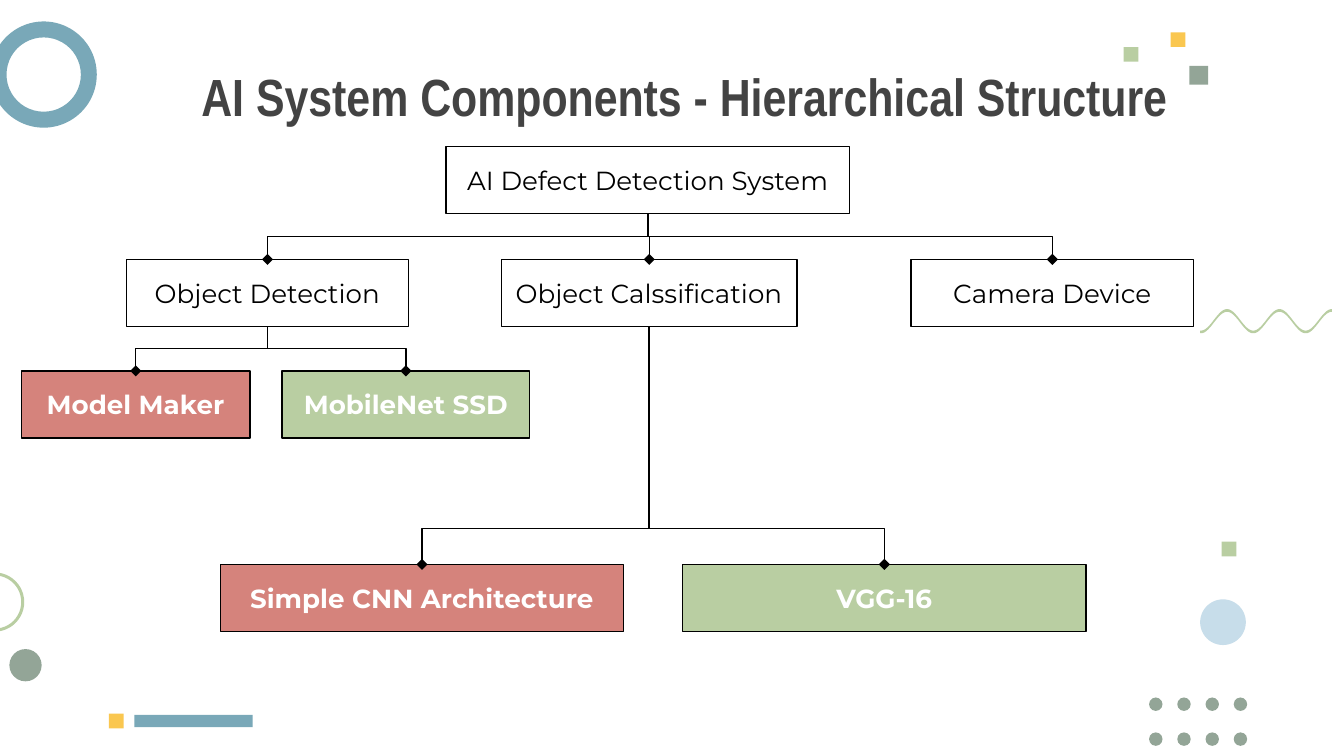
from dataclasses import dataclass
from math import cos, pi
from typing import Optional

from pptx import Presentation
from pptx.dml.color import RGBColor
from pptx.enum.shapes import MSO_CONNECTOR, MSO_SHAPE
from pptx.enum.text import MSO_ANCHOR, MSO_AUTO_SIZE, PP_ALIGN
from pptx.oxml.ns import qn
from pptx.util import Emu, Pt
from lxml.etree import SubElement

EMU_PER_PX = 9144
SLIDE_WIDTH = 1000
BLACK, WHITE, CHARCOAL = "000000", "FFFFFF", "434343"
TEAL, SAGE, GREEN = "79A8B8", "93A597", "B9CEA2"
YELLOW, SKY, RED = "FAC750", "C7DDEA", "D5837C"


@dataclass(frozen=True)
class Component:
    label: str
    left: int
    top: int
    width: int
    fill: Optional[str] = None
    height: int = 50

    @property
    def center(self) -> int:
        return self.left + self.width // 2

    @property
    def bottom(self) -> int:
        return self.top + self.height


@dataclass(frozen=True)
class Branch:
    parent: Component
    children: tuple[Component, ...]
    bend: float = 0.5


@dataclass(frozen=True)
class Ornament:
    kind: MSO_SHAPE
    left: int
    top: int
    width: int
    height: int
    color: str
    ring: Optional[float] = None


SYSTEM = Component("AI Defect Detection System", 332, 109, 300)
DETECTION = Component("Object Detection", 94, 193, 210)
CLASSIFICATION = Component("Object Calssification", 373, 193, 220)
CAMERA = Component("Camera Device", 678, 193, 210)
MODEL_MAKER = Component("Model Maker", 16, 276, 170, RED)
MOBILENET = Component("MobileNet SSD", 210, 276, 184, GREEN)
SIMPLE_CNN = Component("Simple CNN Architecture", 164, 420, 300, RED)
VGG = Component("VGG-16", 508, 420, 300, GREEN)

BRANCHES = (
    Branch(SYSTEM, (DETECTION, CLASSIFICATION, CAMERA)),
    Branch(DETECTION, (MODEL_MAKER, MOBILENET)),
    Branch(CLASSIFICATION, (SIMPLE_CNN, VGG), 0.85),
)

ORNAMENTS = (
    Ornament(MSO_SHAPE.DONUT, -7, 16, 79, 79, TEAL, 0.15),
    Ornament(MSO_SHAPE.DONUT, -26, 426, 44, 44, GREEN, 0.05),
    Ornament(MSO_SHAPE.OVAL, 893, 446, 34, 34, SKY),
    Ornament(MSO_SHAPE.OVAL, 7, 483, 24, 24, SAGE),
    Ornament(MSO_SHAPE.RECTANGLE, 100, 532, 88, 9, TEAL),
    Ornament(MSO_SHAPE.RECTANGLE, 81, 531, 11, 11, YELLOW),
    Ornament(MSO_SHAPE.RECTANGLE, 885, 49, 14, 14, SAGE),
    Ornament(MSO_SHAPE.RECTANGLE, 836, 35, 11, 11, GREEN),
    Ornament(MSO_SHAPE.RECTANGLE, 871, 24, 11, 11, YELLOW),
    Ornament(MSO_SHAPE.RECTANGLE, 909, 403, 11, 11, GREEN),
) + tuple(
    Ornament(MSO_SHAPE.OVAL, 855 + 21 * column, 519 + 26 * row, 10, 10, SAGE)
    for row in range(2)
    for column in range(4)
)


def px(length: float) -> Emu:
    return Emu(round(length * EMU_PER_PX))


def rgb(color: str) -> RGBColor:
    return RGBColor.from_string(color)


def paint(shape, fill: Optional[str], outline: Optional[str] = None) -> None:
    shape.shadow.inherit = False
    if fill:
        shape.fill.solid()
        shape.fill.fore_color.rgb = rgb(fill)
    else:
        shape.fill.background()
    if outline:
        shape.line.color.rgb = rgb(outline)
        shape.line.width = Pt(0.75)
    else:
        shape.line.fill.background()


def write(shape, text: str, font: str, size: int, color: str, bold: bool) -> None:
    frame = shape.text_frame
    frame.word_wrap = True
    frame.auto_size = MSO_AUTO_SIZE.NONE
    frame.vertical_anchor = MSO_ANCHOR.MIDDLE
    frame.margin_left = frame.margin_right = px(5)
    frame.margin_top = frame.margin_bottom = px(10)
    frame.text = text
    paragraph = frame.paragraphs[0]
    paragraph.alignment = PP_ALIGN.CENTER
    paragraph.font.name = font
    paragraph.font.size = Pt(size)
    paragraph.font.bold = bold
    paragraph.font.color.rgb = rgb(color)


def draw_ornament(slide, ornament: Ornament) -> None:
    shape = slide.shapes.add_shape(
        ornament.kind, px(ornament.left), px(ornament.top),
        px(ornament.width), px(ornament.height),
    )
    if ornament.ring:
        shape.adjustments[0] = ornament.ring
    paint(shape, ornament.color)


def draw_wave(slide) -> None:
    crest = [(x, 238 - 8 * cos(2 * pi * (x - 913) / 39)) for x in range(893, 992)]
    underside = [(x, y + 2) for x, y in reversed(crest)]
    outline = [(px(x), px(y)) for x, y in crest + underside]
    builder = slide.shapes.build_freeform(*outline[0])
    builder.add_line_segments(outline[1:], close=True)
    paint(builder.convert_to_shape(), GREEN)


def draw_component(slide, component: Component) -> None:
    shape = slide.shapes.add_shape(
        MSO_SHAPE.RECTANGLE, px(component.left), px(component.top),
        px(component.width), px(component.height),
    )
    paint(shape, component.fill, BLACK)
    highlighted = component.fill is not None
    write(shape, component.label, "Montserrat", 14,
          WHITE if highlighted else BLACK, highlighted)


def draw_link(slide, parent: Component, child: Component, bend: float) -> None:
    middle_x = (parent.center + child.center) / 2
    middle_y = (parent.bottom + child.top) / 2
    half_run = abs(child.center - parent.center) / 2
    half_drop = (child.top - parent.bottom) / 2
    rightward = child.center > parent.center
    side = half_drop if rightward else -half_drop
    link = slide.shapes.add_connector(
        MSO_CONNECTOR.ELBOW,
        px(middle_x + side), px(middle_y - half_run),
        px(middle_x - side), px(middle_y + half_run),
    )
    link.line.color.rgb = rgb(BLACK)
    link.line.width = Pt(0.75)
    properties = link._element.spPr
    properties.find(qn("a:xfrm")).set("rot", str((270 if rightward else 90) * 60000))
    guides = properties.find(qn("a:prstGeom")).find(qn("a:avLst"))
    SubElement(guides, qn("a:gd"), name="adj1", fmla=f"val {round(bend * 100000)}")
    SubElement(properties.find(qn("a:ln")), qn("a:tailEnd"), type="diamond")
    SubElement(properties, qn("a:effectLst"))


def draw_title(slide, text: str) -> None:
    title = slide.shapes.title
    title.left, title.top, title.width, title.height = map(px, (72, 51, 874, 41))
    write(title, text, "Arial Narrow", 28, CHARCOAL, True)


def main() -> None:
    presentation = Presentation()
    presentation.slide_width = px(SLIDE_WIDTH)
    presentation.slide_height = px(SLIDE_WIDTH * 9 / 16)
    slide = presentation.slides.add_slide(presentation.slide_layouts[5])
    for ornament in ORNAMENTS:
        draw_ornament(slide, ornament)
    draw_wave(slide)
    draw_title(slide, "AI System Components - Hierarchical Structure")
    draw_component(slide, SYSTEM)
    for branch in BRANCHES:
        for child in branch.children:
            draw_component(slide, child)
            draw_link(slide, branch.parent, child, branch.bend)
    presentation.save("out.pptx")


if __name__ == "__main__":
    main()
